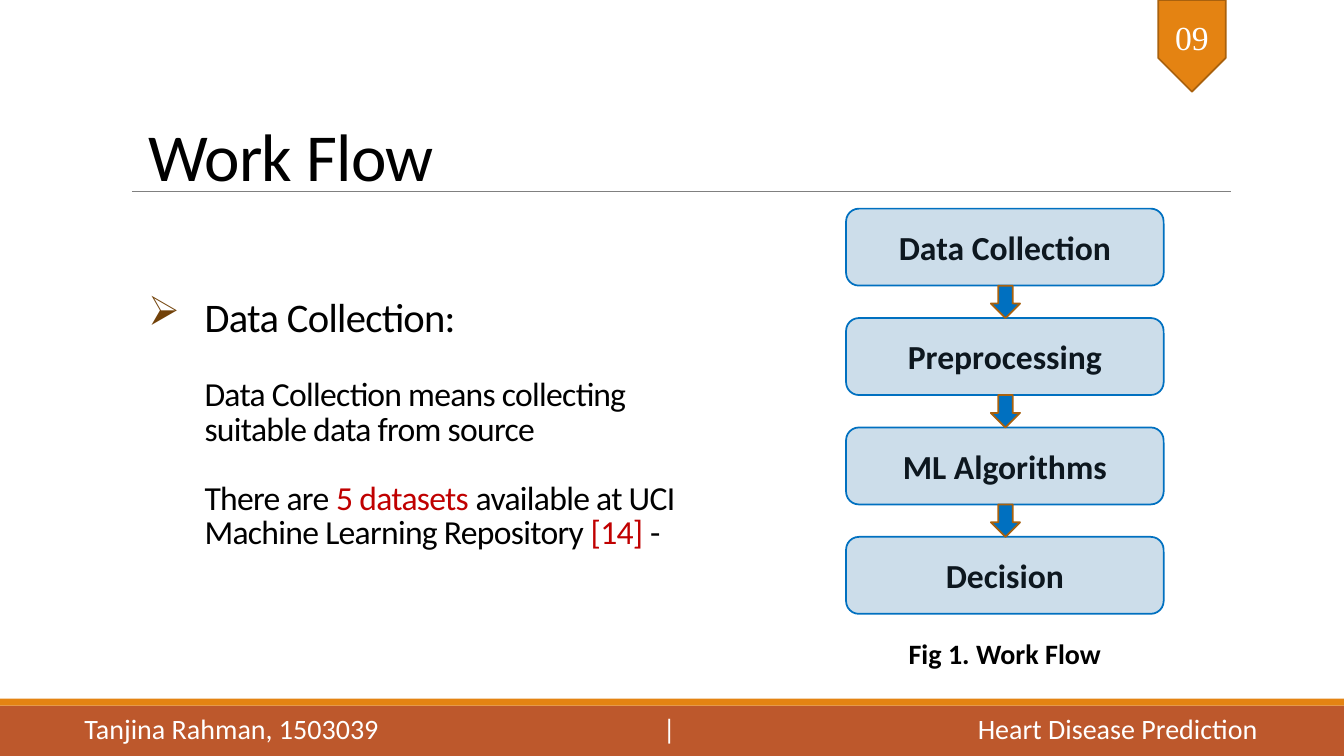
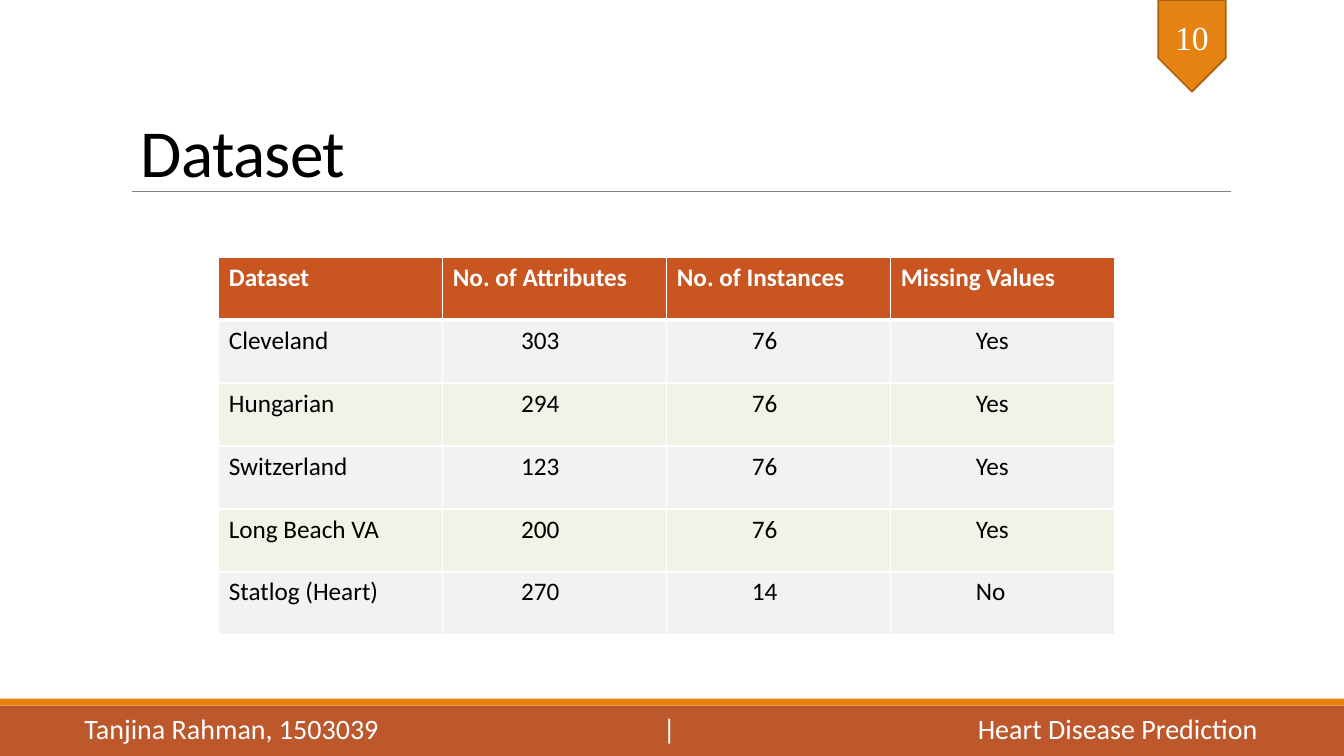
from dataclasses import dataclass

from pptx import Presentation
from pptx.dml.color import RGBColor
from pptx.enum.shapes import MSO_CONNECTOR as LINE, MSO_SHAPE as SHAPE
from pptx.enum.text import MSO_ANCHOR as ANCHOR, PP_ALIGN as ALIGN
from pptx.oxml.ns import qn
from pptx.util import Emu, Inches, Pt
from lxml.etree import SubElement

COLORS = {
    "white": "FFFFFF", "black": "000000", "rust": "BD582C", "orange": "E48312",
    "orange_edge": "A9610D", "rule": "808080", "step": "CCDDEA",
    "step_text": "0D171F", "blue": "0070C0", "red": "C00000",
    "bullet": "724209", "header": "C95521", "row_odd": "F2F2F2",
    "row_even": "F3F2E6",
}
FONT = "Calibri"
BADGE_FONT = "Times New Roman"
FOOTER = ("Tanjina Rahman, 1503039", "|", "Heart Disease Prediction")
TIGHT = -50  # letter spacing in hundredths of a point


@dataclass
class Box:
    x: int
    y: int
    w: int
    h: int

    def inner(self, left, top, width, height):
        """Return an inner box, given in percent of this one."""
        return Box(Emu(round(self.x + self.w * left / 100)),
                   Emu(round(self.y + self.h * top / 100)),
                   Emu(round(self.w * width / 100)),
                   Emu(round(self.h * height / 100)))

    def frame(self):
        return self.x, self.y, self.w, self.h


PAGE = Box(0, 0, Inches(13.33), Inches(7.5))


def rgb(name):
    return RGBColor.from_string(COLORS[name])


def add_run(p, text, size, color="black", bold=False, font=FONT, spacing=0):
    r = p.add_run()
    r.text = text
    r.font.size, r.font.name, r.font.bold = Pt(size), font, bold
    r.font.color.rgb = rgb(color)
    if spacing:
        r._r.get_or_add_rPr().set("spc", str(spacing))


def add_shape(slide, kind, box, fill, line=None):
    sp = slide.shapes.add_shape(kind, *box.frame())
    sp.shadow.inherit = False
    sp.fill.solid()
    sp.fill.fore_color.rgb = rgb(fill)
    if line:
        sp.line.color.rgb = rgb(line)
        sp.line.width = Pt(1.25)
    else:
        sp.line.fill.background()
    return sp


def center_text(sp):
    """Centre the text of a shape both ways and return its paragraph."""
    tf = sp.text_frame
    tf.vertical_anchor = ANCHOR.MIDDLE
    p = tf.paragraphs[0]
    p.alignment = ALIGN.CENTER
    return p


def add_text(slide, box, anchor=ANCHOR.TOP):
    sp = slide.shapes.add_textbox(*box.frame())
    sp.text_frame.word_wrap = True
    sp.text_frame.vertical_anchor = anchor
    return sp


def add_footer(slide, box):
    p = add_text(slide, box).text_frame.paragraphs[0]
    add_run(p, "\t".join(FOOTER), 20, "white")
    tabs = SubElement(p._p.get_or_add_pPr(), qn("a:tabLst"))
    for share, align in ((49, "ctr"), (98.3, "r")):
        SubElement(tabs, qn("a:tab"), pos=str(round(box.w * share / 100)), algn=align)


def add_badge(slide, box, number):
    """Draw a pentagon pointing down: it is laid out flat, then turned."""
    flat = Box(box.x + (box.w - box.h) // 2, box.y + (box.h - box.w) // 2, box.h, box.w)
    sp = add_shape(slide, SHAPE.PENTAGON, flat, "orange", "orange_edge")
    sp.rotation = 90
    sp.text_frame._txBody.bodyPr.set("vert", "vert270")
    add_run(center_text(sp), number, 24, "white", font=BADGE_FONT)


def add_base(prs, title, number, left, top):
    """Add a slide with bands, rule, title, page badge and footer."""
    slide = prs.slides.add_slide(prs.slide_layouts[6])
    add_shape(slide, SHAPE.RECTANGLE, PAGE.inner(0, 93.33, 100, 6.67), "rust")
    add_shape(slide, SHAPE.RECTANGLE, PAGE.inner(0, 92.4, 100, 0.93), "orange")
    rule = PAGE.inner(9.82, 25.33, 81.78, 0)
    line = slide.shapes.add_connector(LINE.STRAIGHT, rule.x, rule.y,
                                      rule.x + rule.w, rule.y)
    line.line.color.rgb = rgb("rule")
    line.line.width = Pt(0.5)
    SubElement(line._element.spPr, qn("a:effectLst"))
    sp = add_text(slide, PAGE.inner(left, top, 82.5, 21.2), ANCHOR.BOTTOM)
    p = sp.text_frame.paragraphs[0]
    p.line_spacing = 0.85
    add_run(p, title, 48, spacing=TIGHT)
    add_badge(slide, PAGE.inner(86.17, 0, 5.03, 12.13), number)
    add_footer(slide, PAGE.inner(5.55, 93.47, 88.8, 5.87))
    return slide


def add_explanation(slide, box, paragraphs):
    """Add hanging paragraphs, the first one bulleted.

    Each is (space before, size, [(text, colour), ...]).
    """
    tf = add_text(slide, box, ANCHOR.BOTTOM).text_frame
    indent = Inches(0.56)
    for i, (before, size, runs) in enumerate(paragraphs):
        p = tf.add_paragraph() if i else tf.paragraphs[0]
        p.line_spacing, p.space_before = 0.85, Pt(before)
        for text, color in runs:
            add_run(p, text, size, color, spacing=TIGHT)
        pPr = p._p.get_or_add_pPr()
        pPr.set("marL", str(indent))
        pPr.set("indent", str(0 if i else -indent))
        if i == 0:
            bullet_color = SubElement(pPr, qn("a:buClr"))
            SubElement(bullet_color, qn("a:srgbClr"), val=COLORS["bullet"])
            SubElement(pPr, qn("a:buChar"), char="➢")


def add_flow(slide, box, steps, gap=8):
    """Stack the steps evenly, with a block arrow in every gap."""
    height = (100 - gap * (len(steps) - 1)) / len(steps)
    for i, step in enumerate(steps):
        top = i * (height + gap)
        sp = add_shape(slide, SHAPE.ROUNDED_RECTANGLE, box.inner(0, top, 100, height),
                       "step", "blue")
        add_run(center_text(sp), step, 24, "step_text", bold=True)
        if i:
            add_shape(slide, SHAPE.DOWN_ARROW, box.inner(45.6, top - gap, 9.2, gap),
                      "blue", "orange_edge")


def add_caption(slide, box, text):
    add_run(center_text(add_text(slide, box)), text, 20, bold=True)


def set_borders(cell, bottom):
    tcPr = cell._tc.get_or_add_tcPr()
    for i, (side, width) in enumerate((("L", 1), ("R", 1), ("T", 1), ("B", bottom))):
        ln = SubElement(tcPr, qn("a:ln" + side), w=str(Pt(width)))
        fill = SubElement(ln, qn("a:solidFill"))
        SubElement(fill, qn("a:srgbClr"), val=COLORS["white"])
        tcPr.insert(i, ln)


def add_data_table(slide, box, rows, insets):
    """Add a table; insets are the body cells' left margins in percent of a column."""
    n_rows, n_cols = len(rows), len(rows[0])
    table = slide.shapes.add_table(n_rows, n_cols, *box.frame()).table
    table.horz_banding = False
    for column in table.columns:
        column.width = box.w // n_cols
    for i, values in enumerate(rows):
        table.rows[i].height = box.h // n_rows
        header = i == 0
        fill = "header" if header else "row_odd" if i % 2 else "row_even"
        for j, value in enumerate(values):
            cell = table.cell(i, j)
            cell.fill.solid()
            cell.fill.fore_color.rgb = rgb(fill)
            set_borders(cell, 3 if header else 1)
            if not header and insets[j]:
                cell.margin_left = Emu(box.w // n_cols * insets[j] // 100)
            add_run(cell.text_frame.paragraphs[0], value, 18,
                    "white" if header else "black", bold=header)


def work_flow_slide(prs):
    slide = add_base(prs, "Work Flow", "09", 10.28, 5.33)
    add_explanation(slide, PAGE.inner(10.28, 28.13, 40.89, 45.5), [
        (0, 29, [("Data Collection", "black"), (":", "black")]),
        (28, 24, [("Data Collection means collecting suitable data from source", "black")]),
        (25, 24, [("There are ", "black"), ("5 datasets ", "red"),
                  ("available at UCI Machine Learning Repository ", "black"),
                  ("[14]", "red"), (" -", "black")]),
    ])
    add_flow(slide, PAGE.inner(62.95, 27.6, 23.63, 53.6),
             ["Data Collection", "Preprocessing", "ML Algorithms", "Decision"])
    add_caption(slide, PAGE.inner(62.95, 83.2, 23.63, 6.4), "Fig 1. Work Flow")


def dataset_slide(prs):
    slide = add_base(prs, "Dataset", "10", 9.75, 4.8)
    add_data_table(slide, PAGE.inner(16.28, 34, 66.67, 50), [
        ("Dataset", "No. of Attributes", "No. of Instances", "Missing Values"),
        ("Cleveland", "303", "76", "Yes"),
        ("Hungarian", "294", "76", "Yes"),
        ("Switzerland", "123", "76", "Yes"),
        ("Long Beach VA", "200", "76", "Yes"),
        ("Statlog (Heart)", "270", "14", "No"),
    ], insets=(0, 35, 38, 38))


def main():
    prs = Presentation()
    prs.slide_width, prs.slide_height = PAGE.w, PAGE.h
    work_flow_slide(prs)
    dataset_slide(prs)
    prs.save("out.pptx")


if __name__ == "__main__":
    main()
